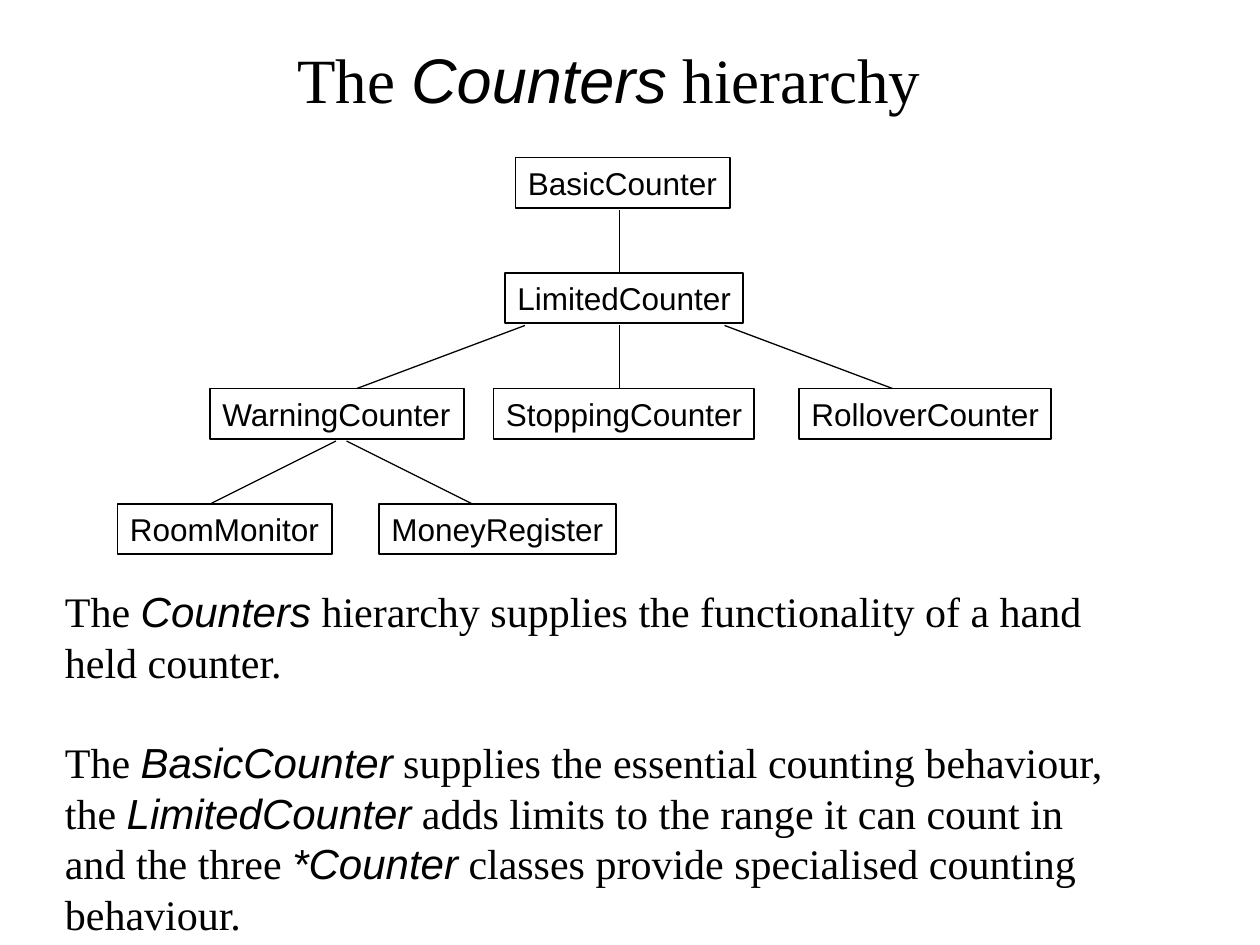
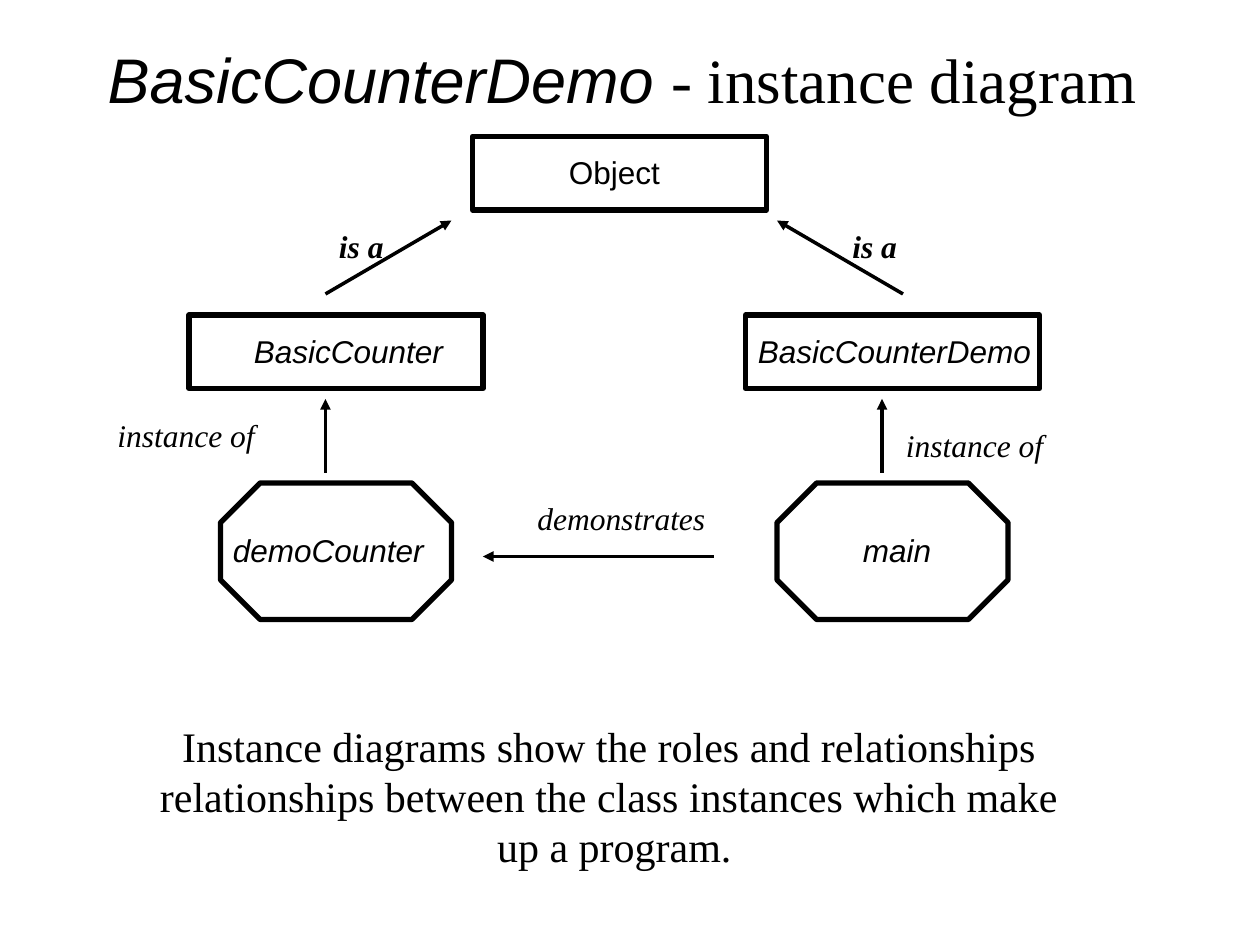
from dataclasses import dataclass
from typing import NamedTuple

import pptx
import pptx.dml.color
import pptx.enum.shapes
import pptx.enum.text
import pptx.util
from lxml import etree
from pptx.oxml.ns import qn

PX = pptx.util.Inches(1) // 120
SHAPES = pptx.enum.shapes.MSO_SHAPE
ALIGN = pptx.enum.text.PP_ALIGN
ANCHOR = pptx.enum.text.MSO_ANCHOR


@dataclass(frozen=True)
class Theme:
    ink: pptx.dml.color.RGBColor = pptx.dml.color.RGBColor(0, 0, 0)
    paper: pptx.dml.color.RGBColor = pptx.dml.color.RGBColor(255, 255, 255)
    serif: str = "Times New Roman"
    sans: str = "Arial"
    title_size: int = 36
    body_size: int = 24
    label_size: int = 18
    leading: float = 1.2
    hairline: float = 0.75
    box_line: float = 1
    arrow_line: float = 2
    heavy_line: float = 3


THEME = Theme()


class Span(NamedTuple):
    text: str
    font: str = THEME.serif
    italic: bool = False
    bold: bool = False


class Rect(NamedTuple):
    left: int
    top: int
    width: int
    height: int


class ClassBox(NamedTuple):
    name: str
    left: int
    level: int
    width: int


class Link(NamedTuple):
    child_x: int
    parent_x: int
    child_level: int


class Figure(NamedTuple):
    kind: pptx.enum.shapes.MSO_SHAPE
    left: int
    top: int


class Label(NamedTuple):
    span: Span
    left: int
    top: int
    width: int


class Arrow(NamedTuple):
    start: tuple[int, int]
    end: tuple[int, int]


LABEL_HEIGHT = 48
TREE_TOP, LEVEL_STEP, LINK_RISE = 150, 110, 60
FIGURE_SIZES = {SHAPES.RECTANGLE: (280, 70), SHAPES.OCTAGON: (220, 130)}

CLASS_BOXES = [
    ClassBox("BasicCounter", 491, 0, 204),
    ClassBox("LimitedCounter", 481, 1, 227),
    ClassBox("RolloverCounter", 761, 2, 240),
    ClassBox("StoppingCounter", 470, 2, 248),
    ClassBox("WarningCounter", 200, 2, 242),
    ClassBox("RoomMonitor", 112, 3, 204),
    ClassBox("MoneyRegister", 361, 3, 226),
]
LINKS = [
    Link(200, 320, 3), Link(450, 330, 3),
    Link(340, 500, 2), Link(850, 690, 2), Link(590, 590, 2),
    Link(590, 590, 1),
]


def code(name: str) -> Span:
    return Span(name, THEME.sans, italic=True)


def relation(name: str, bold: bool = False) -> Span:
    return Span(name, italic=True, bold=bold)


FIGURES = [
    Figure(SHAPES.RECTANGLE, 450, 130),
    Figure(SHAPES.RECTANGLE, 180, 300),
    Figure(SHAPES.RECTANGLE, 710, 300),
    Figure(SHAPES.OCTAGON, 210, 460),
    Figure(SHAPES.OCTAGON, 740, 460),
]
LABELS = [
    Label(Span("Object", THEME.sans), 530, 140, 110),
    Label(code("BasicCounter"), 230, 310, 204),
    Label(code("BasicCounterDemo"), 710, 310, 284),
    Label(code("demoCounter"), 210, 500, 205),
    Label(code("main"), 810, 500, 89),
    Label(relation("is a", bold=True), 311, 210, 66),
    Label(relation("is a", bold=True), 800, 210, 66),
    Label(relation("instance of"), 100, 390, 155),
    Label(relation("instance of"), 851, 400, 155),
    Label(relation("demonstrates"), 500, 469, 184),
]
ARROWS = [
    Arrow((310, 280), (430, 210)),
    Arrow((860, 280), (740, 210)),
    Arrow((310, 450), (310, 380)),
    Arrow((840, 450), (840, 380)),
    Arrow((680, 530), (460, 530)),
]


def emu(lengths) -> list[int]:
    return [length * PX for length in lengths]


def write(shape, paragraphs: list[list[Span]], size: int, align=ALIGN.LEFT,
          anchor=ANCHOR.TOP, wrap: bool = False, gap: float = 0) -> None:
    """Fill a shape with paragraphs of spans; gap is the points between paragraphs."""
    frame = shape.text_frame
    frame.word_wrap = wrap
    frame.auto_size = pptx.enum.text.MSO_AUTO_SIZE.NONE
    frame.vertical_anchor = anchor
    for index, spans in enumerate(paragraphs):
        para = frame.add_paragraph() if index else frame.paragraphs[0]
        para.alignment = align
        para.line_spacing = pptx.util.Pt(size * THEME.leading)
        para.space_before = pptx.util.Pt(gap if index else 0)
        for span in spans:
            run = para.add_run()
            run.text = span.text
            run.font.name = span.font
            run.font.size = pptx.util.Pt(size)
            run.font.italic = span.italic
            run.font.bold = span.bold
            run.font.color.rgb = THEME.ink


def add_titled_page(deck, rect: Rect, spans: list[Span]):
    page = deck.slides.add_slide(deck.slide_layouts[5])
    title = page.shapes.title
    title.left, title.top, title.width, title.height = emu(rect)
    write(title, [spans], THEME.title_size, ALIGN.CENTER, ANCHOR.MIDDLE, wrap=True)
    return page


def add_body(page, rect: Rect, paragraphs: list[list[Span]], **style) -> None:
    box = page.shapes.add_textbox(*emu(rect))
    write(box, paragraphs, THEME.body_size, wrap=True, **style)


def add_outline(page, kind, rect: Rect, weight: float):
    shape = page.shapes.add_shape(kind, *emu(rect))
    shape.shadow.inherit = False
    shape.line.color.rgb = THEME.ink
    shape.line.width = pptx.util.Pt(weight)
    return shape


def add_line(page, start: tuple[int, int], end: tuple[int, int], weight: float,
             arrow: bool = False) -> None:
    line = page.shapes.add_connector(
        pptx.enum.shapes.MSO_CONNECTOR.STRAIGHT, *emu(start + end))
    line.line.color.rgb = THEME.ink
    line.line.width = pptx.util.Pt(weight)
    if arrow:
        etree.SubElement(line.line._get_or_add_ln(), qn("a:tailEnd"), type="triangle")
    etree.SubElement(line._element.spPr, qn("a:effectLst"))


def add_class_box(page, item: ClassBox) -> None:
    top = TREE_TOP + item.level * LEVEL_STEP
    box = add_outline(page, SHAPES.RECTANGLE,
                      Rect(item.left, top, item.width, LABEL_HEIGHT), THEME.box_line)
    box.fill.background()
    write(box, [[Span(item.name, THEME.sans)]], THEME.label_size)


def add_link(page, link: Link) -> None:
    child_top = TREE_TOP + link.child_level * LEVEL_STEP
    add_line(page, (link.child_x, child_top),
             (link.parent_x, child_top - LINK_RISE), THEME.hairline)


def add_figure(page, figure: Figure) -> None:
    rect = Rect(figure.left, figure.top, *FIGURE_SIZES[figure.kind])
    shape = add_outline(page, figure.kind, rect, THEME.heavy_line)
    shape.fill.solid()
    shape.fill.fore_color.rgb = THEME.paper
    if figure.kind == SHAPES.OCTAGON:
        shape.adjustments[0] = 0.29


def add_label(page, label: Label) -> None:
    box = page.shapes.add_textbox(
        *emu((label.left, label.top, label.width, LABEL_HEIGHT)))
    write(box, [[label.span]], THEME.label_size)


def build_hierarchy(deck) -> None:
    page = add_titled_page(deck, Rect(70, 0, 1020, 150),
                           [Span("The "), code("Counters"), Span(" hierarchy")])
    add_body(page, Rect(50, 552, 1024, 348), [
        [Span("The "), code("Counters"),
         Span(" hierarchy supplies the functionality of a hand held counter.")],
        [Span("The "), code("BasicCounter"),
         Span(" supplies the essential counting behaviour, the "),
         code("LimitedCounter"),
         Span(" adds limits to the range it can count in and the three "),
         code("*Counter"),
         Span(" classes provide specialised counting behaviour.")],
    ], gap=THEME.body_size * THEME.leading)
    for item in CLASS_BOXES:
        add_class_box(page, item)
    for link in LINKS:
        add_link(page, link)


def build_instance_diagram(deck) -> None:
    page = add_titled_page(deck, Rect(0, 0, 1200, 150),
                           [code("BasicCounterDemo "), Span("- instance diagram ")])
    add_body(page, Rect(30, 680, 1110, 156), [
        [Span("Instance diagrams show the roles and relationships ")],
        [Span("relationships between the class instances which make ")],
        [Span("up a program.")],
    ], align=ALIGN.CENTER)
    for figure in FIGURES:
        add_figure(page, figure)
    for arrow in ARROWS:
        add_line(page, arrow.start, arrow.end, THEME.arrow_line, arrow=True)
    for label in LABELS:
        add_label(page, label)


def main() -> None:
    deck = pptx.Presentation()
    deck.slide_width, deck.slide_height = emu((1200, 900))
    build_hierarchy(deck)
    build_instance_diagram(deck)
    deck.save("out.pptx")


if __name__ == "__main__":
    main()
